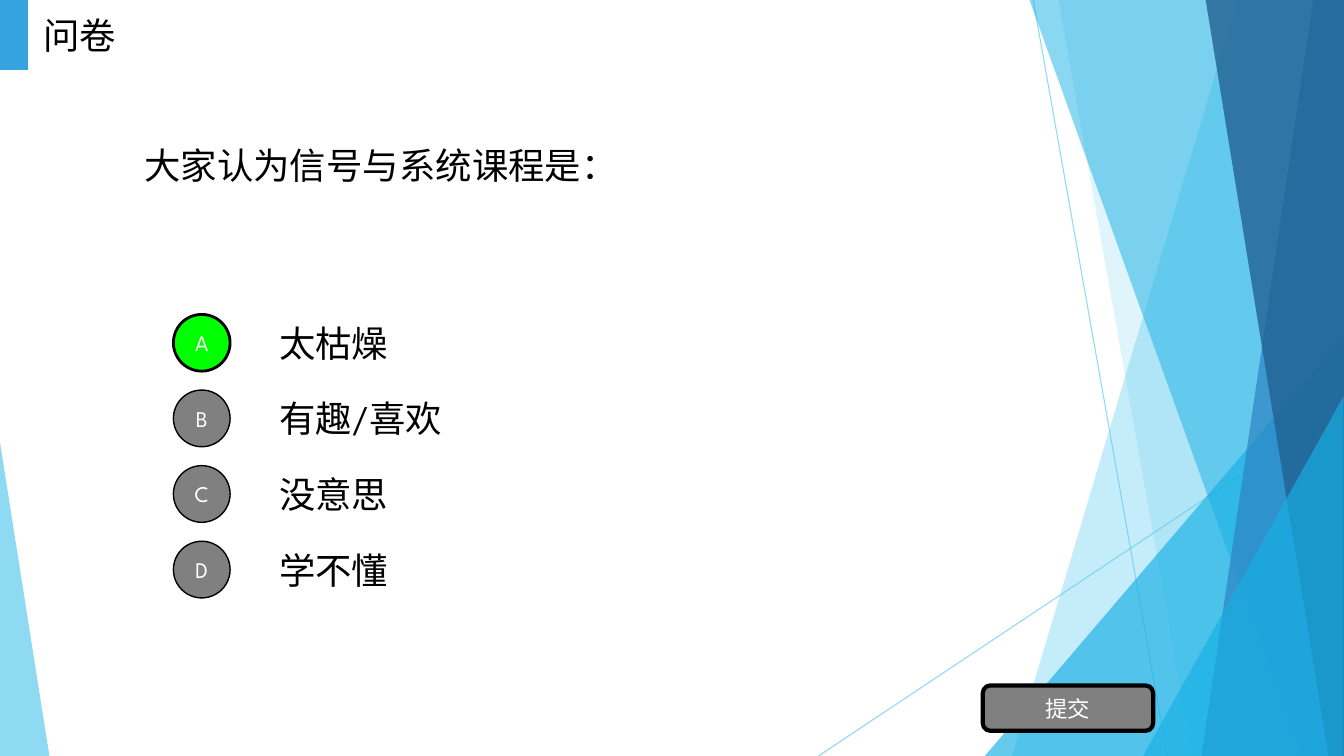
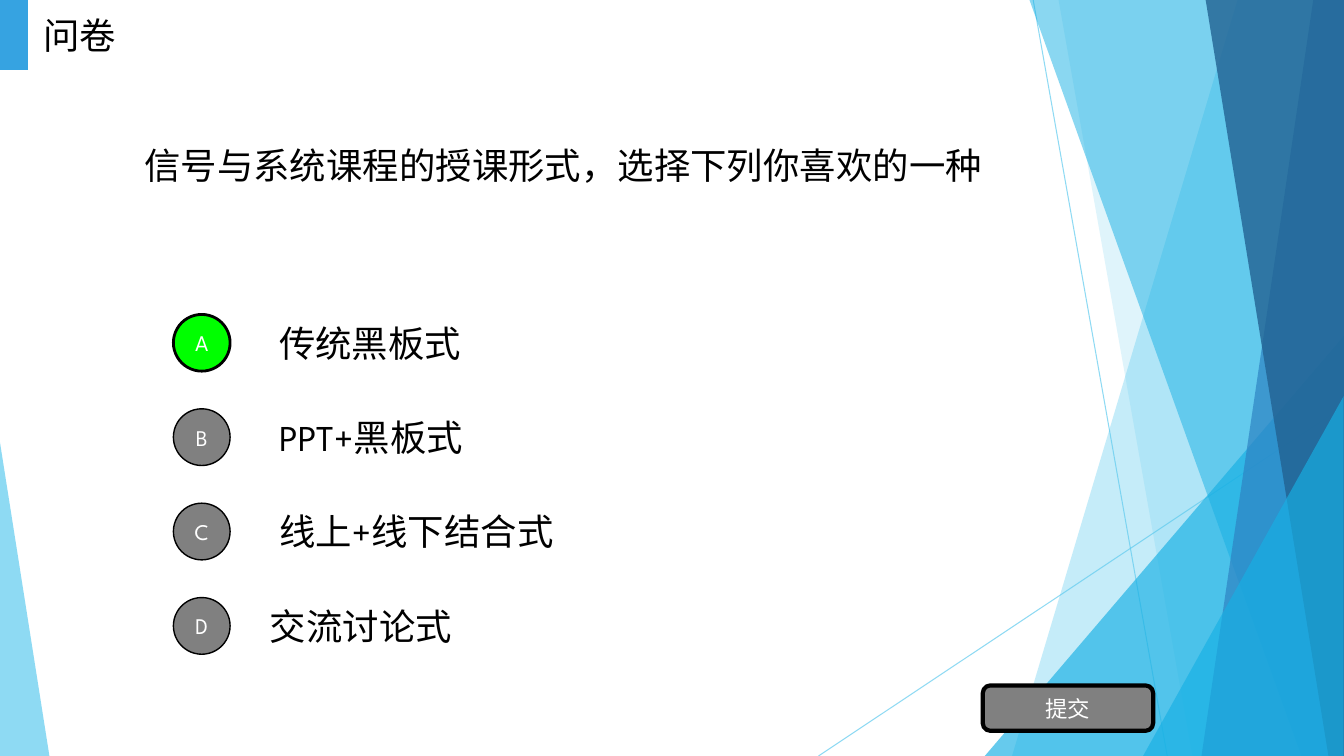
"""Build two survey slides that share a faceted backdrop."""
from lxml.etree import SubElement
from pptx import Presentation
from pptx.dml.color import RGBColor
from pptx.enum.shapes import MSO_CONNECTOR, MSO_SHAPE as SHAPE
from pptx.enum.text import MSO_ANCHOR, PP_ALIGN as ALIGN
from pptx.oxml.ns import qn
from pptx.util import Pt

COLORS = {
    "sky": "5FCBEF", "azure": "17B0E4", "blue": "2E83C3", "navy": "226292",
    "tab": "36A3E1", "chosen": "00FF00", "gray": "808080",
    "black": "000000", "white": "FFFFFF",
}
FONT = "League Spartan"
WIDTH, HEIGHT = 960, 540
TOP = -0.72


def paint(shape, color, opacity=100, border=0):
    """Fill a shape, with an optional black border."""
    shape.shadow.inherit = False
    shape.fill.solid()
    shape.fill.fore_color.rgb = RGBColor.from_string(COLORS[color])
    if opacity < 100:
        tint = shape.element.spPr.find(qn("a:solidFill")).find(qn("a:srgbClr"))
        SubElement(tint, qn("a:alpha"), val=str(opacity * 1000))
    if border:
        shape.line.color.rgb = RGBColor.from_string(COLORS["black"])
        shape.line.width = Pt(border)
    else:
        shape.line.fill.background()


def write(box, text, size=26, color="black", align=ALIGN.LEFT):
    """Put one vertically centred paragraph into a shape."""
    frame = box.text_frame
    frame.word_wrap = True
    frame.vertical_anchor = MSO_ANCHOR.MIDDLE
    frame.text = text
    para = frame.paragraphs[0]
    para.alignment = align
    font = para.runs[0].font
    font.name, font.size = FONT, Pt(size)
    font.color.rgb = RGBColor.from_string(COLORS[color])


deck = Presentation()
deck.slide_width, deck.slide_height = Pt(WIDTH), Pt(HEIGHT)
layout = deck.slide_layouts[6]
backdrop = layout.element.cSld.spTree
for placeholder in list(layout.placeholders):
    backdrop.remove(placeholder.element)

questions = [
    ("大家认为信号与系统课程是：", 54,
     [("太枯燥", 192.24), ("有趣/喜欢", 192.24),
      ("没意思", 192.24), ("学不懂", 192.24)]),
    ("信号与系统课程的授课形式，选择下列你喜欢的一种", 67.4,
     [("传统黑板式", 192.24), ("PPT+黑板式", 192.24),
      ("线上+线下结合式", 192.24), ("交流讨论式", 185.76)]),
]
pages = [deck.slides.add_slide(layout) for question in questions]

rays = [(738, 0, 833.76, HEIGHT), (WIDTH, 290.16, 584.64, HEIGHT)]
facets = [
    ("band", (884.16, 722.88), "sky", 36),
    ("band", (756, 851.76), "sky", 20),
    ("corner", (703.44, 239.76, 256.56, 1), "azure", 66),
    ("band", (735.12, 929.52), "azure", 50),
    ("band", (938.16, 858.24), "blue", 70),
    ("band", (861.12, 948.96), "navy", 80),
    ("corner", (816.48, 282.96, 143.28, 1), "azure", 66),
    ("corner", (0, 316.08, 35.28, 0), "sky", 70),
]
sketch = pages[0].shapes
for ends in rays:
    ray = sketch.add_connector(MSO_CONNECTOR.STRAIGHT, *map(Pt, ends))
    ray.line.width = Pt(0.75)
    ray.line.color.rgb = RGBColor.from_string(COLORS["sky"])
    tint = next(ray.element.spPr.iter(qn("a:srgbClr")))
    SubElement(tint, qn("a:alpha"), val="70000")
    SubElement(ray.element.spPr, qn("a:effectLst"))
for kind, geometry, color, opacity in facets:
    if kind == "band":
        upper, lower = geometry
        outline = sketch.build_freeform(Pt(upper), Pt(TOP))
        outline.add_line_segments([
            (Pt(WIDTH), Pt(TOP)), (Pt(WIDTH), Pt(HEIGHT)), (Pt(lower), Pt(HEIGHT)),
        ])
        facet = outline.convert_to_shape()
    else:
        left, top, width, apex = geometry
        facet = sketch.add_shape(SHAPE.ISOSCELES_TRIANGLE, Pt(left), Pt(top),
                                 Pt(width), Pt(HEIGHT - top))
        facet.adjustments[0] = apex
    paint(facet, color, opacity)
for shape in list(sketch):
    backdrop.append(shape.element)

for page, (question, step, options) in zip(pages, questions):
    shapes = page.shapes
    prompt = shapes.add_textbox(Pt(96), Pt(33.84), Pt(768), Pt(168.48))
    write(prompt, question)

    for index, (option, left) in enumerate(options):
        top = 219.6 + index * step
        answer = shapes.add_textbox(Pt(left), Pt(top), Pt(672), Pt(50.4))
        write(answer, option)
        badge = shapes.add_shape(SHAPE.OVAL, Pt(123.84), Pt(top + 5), Pt(40.5), Pt(40.5))
        chosen = index == 0
        paint(badge, "chosen" if chosen else "gray", border=2 if chosen else 1)
        write(badge, "ABCD"[index], 16, "white", ALIGN.CENTER)

    submit = shapes.add_shape(SHAPE.ROUNDED_RECTANGLE, Pt(702), Pt(489.6),
                              Pt(121.68), Pt(32.4))
    paint(submit, "gray", border=3)
    write(submit, "提交", 16, "white", ALIGN.CENTER)

    tab = shapes.add_shape(SHAPE.RECTANGLE, 0, 0, Pt(20), Pt(50))
    paint(tab, "tab")
    title = shapes.add_textbox(Pt(24), 0, Pt(100), Pt(50))
    write(title, "问卷")

deck.save("out.pptx")
